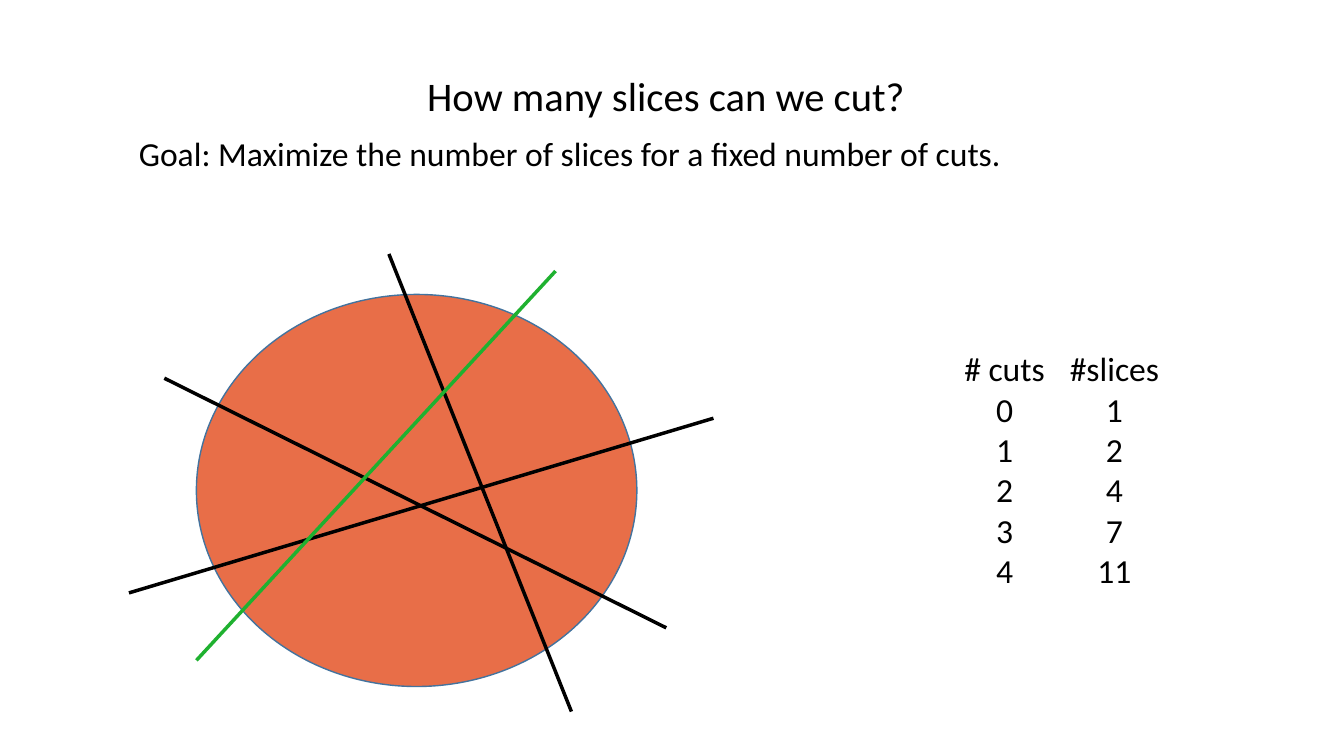
from dataclasses import dataclass

from lxml.etree import SubElement
from pptx import Presentation
from pptx.dml.color import RGBColor
from pptx.enum.shapes import MSO_CONNECTOR, MSO_SHAPE
from pptx.enum.text import MSO_ANCHOR, PP_ALIGN
from pptx.oxml.ns import qn
from pptx.util import Cm, Pt


@dataclass(frozen=True)
class Theme:
    font: str = "Calibri"
    title_size: float = 29
    body_size: float = 24
    outline_width: float = 1
    cut_width: float = 2.5
    ink: RGBColor = RGBColor(0x00, 0x00, 0x00)
    pizza: RGBColor = RGBColor(0xE8, 0x6E, 0x48)
    outline: RGBColor = RGBColor(0x43, 0x73, 0x9E)
    last_cut: RGBColor = RGBColor(0x1F, 0xB1, 0x30)


@dataclass(frozen=True)
class Box:
    left: float
    top: float
    width: float
    height: float

    def lengths(self):
        return Cm(self.left), Cm(self.top), Cm(self.width), Cm(self.height)


THEME = Theme()


def write_text(frame, text, size=THEME.body_size, align=PP_ALIGN.LEFT,
               anchor=MSO_ANCHOR.TOP):
    frame.word_wrap = True
    frame.vertical_anchor = anchor
    para = frame.paragraphs[0]
    para.alignment = align
    span = para.add_run()
    span.text = text
    span.font.name = THEME.font
    span.font.size = Pt(size)
    span.font.color.rgb = THEME.ink


def add_text(page, box, text, **text_format):
    frame = page.shapes.add_textbox(*box.lengths()).text_frame
    write_text(frame, text, **text_format)


def add_cut(page, box, start, end, color):
    points = [Cm(value) for x, y in (start, end)
              for value in (box.left + x, box.top + y)]
    cut = page.shapes.add_connector(MSO_CONNECTOR.STRAIGHT, *points)
    cut.line.color.rgb = color
    cut.line.width = Pt(THEME.cut_width)
    SubElement(cut._element.spPr, qn("a:effectLst"))


def add_pizza(page, box):
    disc = Box(box.left + 1.7, box.top + 1.02, 11.1, 9.88)
    pizza = page.shapes.add_shape(MSO_SHAPE.OVAL, *disc.lengths())
    pizza.shadow.inherit = False
    pizza.fill.solid()
    pizza.fill.fore_color.rgb = THEME.pizza
    pizza.line.color.rgb = THEME.outline
    pizza.line.width = Pt(THEME.outline_width)
    cuts = [
        ((0, 8.54), (box.width, 4.14), THEME.ink),
        ((0.89, 3.13), (13.54, 9.42), THEME.ink),
        ((6.55, 0), (11.15, box.height), THEME.ink),
        ((10.75, 0.43), (1.7, 10.24), THEME.last_cut),
    ]
    for start, end, color in cuts:
        add_cut(page, box, start, end, color)


def add_slice_table(page, box):
    rows = [("# cuts", "#slices"), ("0", "1"), ("1", "2"),
            ("2", "4"), ("3", "7"), ("4", "11")]
    table = page.shapes.add_table(len(rows), 2, *box.lengths()).table
    table.first_row = False
    table.horz_banding = False
    for row_index, row in enumerate(rows):
        for column_index, text in enumerate(row):
            cell = table.cell(row_index, column_index)
            cell.fill.background()
            cell.margin_left = cell.margin_right = 0
            cell.margin_top = cell.margin_bottom = 0
            write_text(cell.text_frame, text, align=PP_ALIGN.CENTER)


def build_slide(deck):
    page = deck.slides.add_slide(deck.slide_layouts[6])
    add_text(page, Box(1.55, 0.81, 30.48, 3.18), "How many slices can we cut?",
             size=THEME.title_size, align=PP_ALIGN.CENTER,
             anchor=MSO_ANCHOR.MIDDLE)
    add_text(page, Box(3.25, 3.23, 24.61, 3.33),
             "Goal: Maximize the number of slices for a fixed number of cuts.")
    add_pizza(page, Box(3.25, 6.4, 14.73, 11.53))
    add_slice_table(page, Box(23.93, 8.81, 5.54, 6.12))


def main():
    deck = Presentation()
    deck.slide_width = Cm(33.87)
    deck.slide_height = Cm(19.05)
    build_slide(deck)
    deck.save("out.pptx")


if __name__ == "__main__":
    main()
